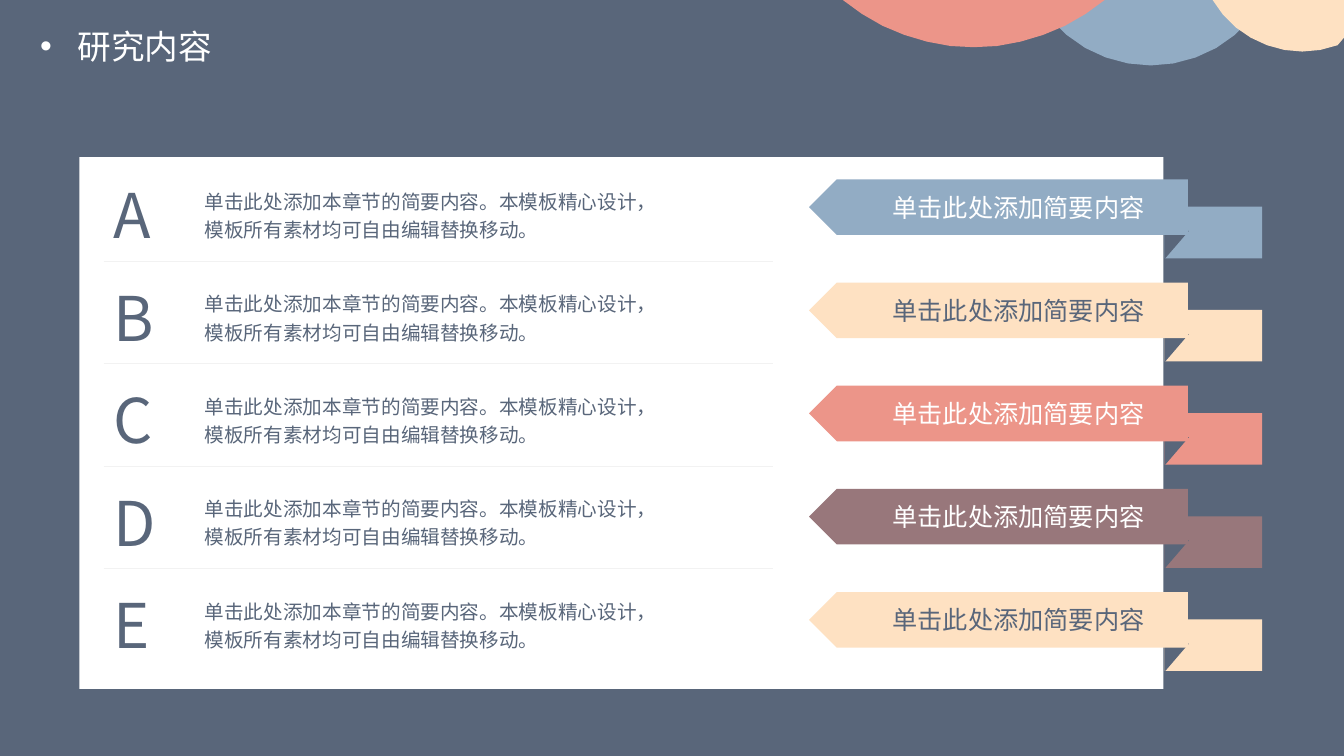
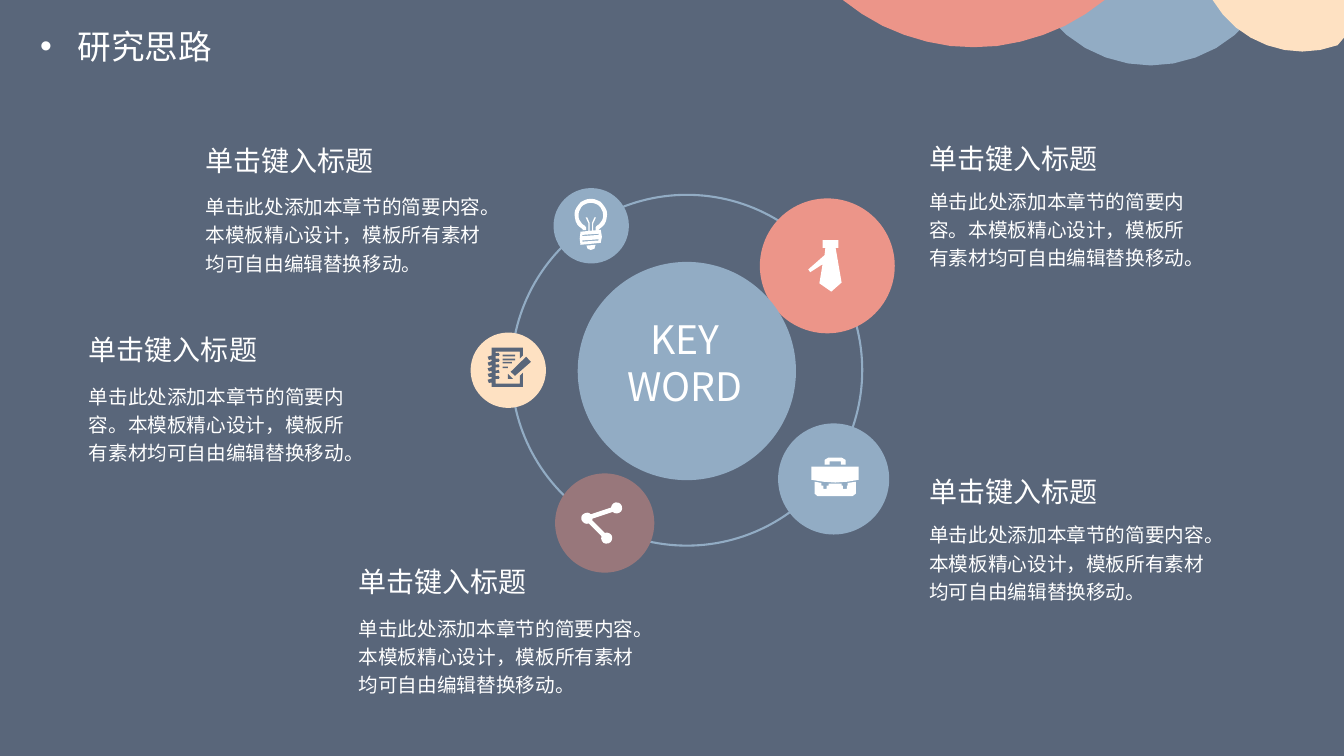
from math import asin, cos, degrees, radians, sin

from lxml import etree
from pptx import Presentation
from pptx.dml.color import RGBColor
from pptx.enum.shapes import MSO_CONNECTOR, MSO_SHAPE as Preset
from pptx.enum.text import MSO_ANCHOR as Anchor, PP_ALIGN as Align
from pptx.oxml.ns import qn
from pptx.util import Cm, Pt

FONT = "Noto Sans CJK SC"
SLATE = RGBColor(0x59, 0x66, 0x7A)
BLUE = RGBColor(0x92, 0xAC, 0xC4)
SALMON = RGBColor(0xEC, 0x95, 0x89)
CREAM = RGBColor(0xFE, 0xE1, 0xC2)
MAUVE = RGBColor(0x98, 0x77, 0x7B)
WHITE = RGBColor(0xFF, 0xFF, 0xFF)
PALE_GREY = RGBColor(0xF2, 0xF2, 0xF2)

SLIDE_WIDTH, SLIDE_HEIGHT = 33.87, 19.05
UNIT = Cm(0.01)  # freeform points are hundredths of a centimetre

BODY_TEXT = "单击此处添加本章节的简要内容。本模板精心设计，模板所有素材均可自由编辑替换移动。"
ROW_LABEL = "单击此处添加简要内容"
TOPIC_TITLE = "单击键入标题"

# letter, ribbon colour, label colour
ROWS = [
    ("A", BLUE, WHITE),
    ("B", CREAM, SLATE),
    ("C", SALMON, WHITE),
    ("D", MAUVE, WHITE),
    ("E", CREAM, SLATE),
]
# left, top, width and gap from title to text
TOPICS = [
    (4.93, 3.48, 7.67, 1.19),
    (1.99, 8.26, 7.17, 1.19),
    (8.79, 14.1, 7.67, 1.19),
    (23.17, 3.43, 7.17, 1.1),
    (23.17, 11.84, 7.67, 1.1),
]
# centre, diameter, colour
DISCS = [
    (12.81, 9.33, 1.9, CREAM),
    (14.9, 5.69, 1.9, BLUE),
    (15.24, 13.18, 2.5, MAUVE),
    (21.01, 12.07, 2.8, BLUE),
    (20.85, 6.7, 3.4, SALMON),
]

TIE = [[(36, 0), (76, 0), (76, 20), (69, 20), (84, 107), (58, 130), (28, 109),
        (36, 61), (5, 81), (0, 74), (41, 38), (43, 20), (36, 20)]]
BRIEFCASE = [
    [(33, 18), (33, 6), (43, 0), (76, 0), (86, 6), (86, 18), (74, 18),
     (74, 10), (46, 10), (46, 18)],
    [(0, 23), (0, 56), (30, 61), (60, 63), (90, 61), (119, 56), (119, 23)],
    [(8, 61), (8, 91), (15, 97), (104, 97), (112, 91), (112, 61), (91, 64),
     (91, 71), (89, 71), (89, 79), (79, 79), (79, 71), (76, 71), (76, 66),
     (43, 66), (43, 71), (38, 71), (38, 79), (30, 79), (30, 71), (25, 71),
     (25, 64)],
]
# The frame's left edge runs around five binder rings.
BINDER_RING = [(20, 8), (28, 8), (30, 5), (28, 0), (20, 1)]
RING_END = [(10, 7), (0, 10), (3, 18), (10, 17)]
FRAME_OUTSIDE = [(10, 0), (89, 0), (89, 20), (81, 28), (81, 10), (20, 10)]
FRAME_BOTTOM = [(20, 91), (81, 91), (81, 71), (89, 63), (89, 99), (10, 99)]
PENCIL = [[(97, 23), (58, 61), (69, 71), (109, 36)],
          [(51, 66), (51, 79), (64, 79)]]
FILAMENT = [(28, 48), (32, 48), (38, 62), (38, 81), (35, 81), (35, 63)]
BULB_BASE = [(15, 84), (66, 79), (69, 97), (66, 112), (15, 117), (13, 102)]
BULB_SLOT = [(20, 92), (61, 89), (61, 92), (20, 95)]
BULB_FOOT = [(30, 119), (53, 117), (50, 127), (41, 130), (33, 127)]


def arc(centre_x, centre_y, radius, start, end, steps=12):
    """Points of a circular arc; degrees run clockwise from the right."""
    angles = [radians(start + (end - start) * i / steps) for i in range(steps + 1)]
    return [(centre_x + radius * cos(a), centre_y + radius * sin(a)) for a in angles]


def shift_down(points, distance):
    return [(x, y + distance) for x, y in points]


def paint(shape, color):
    shape.shadow.inherit = False
    shape.fill.solid()
    shape.fill.fore_color.rgb = color
    shape.line.fill.background()
    return shape


def add_block(page, preset, left, top, width, height, color, flip=None):
    shape = page.shapes.add_shape(preset, Cm(left), Cm(top), Cm(width), Cm(height))
    if flip:
        shape.element.spPr.find(qn("a:xfrm")).set(flip, "1")
    return paint(shape, color)


def add_disc(page, centre_x, centre_y, diameter, color):
    radius = diameter / 2
    return add_block(page, Preset.OVAL, centre_x - radius, centre_y - radius,
                     diameter, diameter, color)


def add_outline(page, left, top, contours, color):
    """One filled freeform; a contour inside another makes a hole."""
    builder = page.shapes.build_freeform(*contours[0][0], scale=float(UNIT))
    builder.add_line_segments(contours[0][1:])
    for contour in contours[1:]:
        builder.move_to(*contour[0])
        builder.add_line_segments(contour[1:])
    return paint(builder.convert_to_shape(Cm(left), Cm(top)), color)


def add_line(page, start, end, color, weight):
    line = page.shapes.add_connector(
        MSO_CONNECTOR.STRAIGHT, *(Cm(value) for value in (*start, *end)))
    line.line.color.rgb = color
    line.line.width = Pt(weight)
    etree.SubElement(line.element.spPr, qn("a:effectLst"))


def add_text(page, left, top, width, height, text, size, color=WHITE,
             align=Align.LEFT, anchor=Anchor.TOP):
    box = page.shapes.add_textbox(Cm(left), Cm(top), Cm(width), Cm(height))
    frame = box.text_frame
    frame.word_wrap = True
    frame.vertical_anchor = anchor
    frame.text = text
    for para in frame.paragraphs:
        para.alignment = align
        para.font.size = Pt(size)
        para.font.color.rgb = color
        para.font.name = FONT
        defaults = para._p.pPr.find(qn("a:defRPr"))
        etree.SubElement(defaults, qn("a:ea")).set("typeface", FONT)
    return frame


def add_body(page, left, top, width, height, color):
    frame = add_text(page, left, top, width, height, BODY_TEXT, 14, color)
    frame.paragraphs[0].line_spacing = Pt(20.2)


def add_title(page, text):
    frame = add_text(page, 1.01, 0.53, 5.7, 1.28, text, 24)
    frame.margin_left = 0
    props = frame.paragraphs[0]._p.pPr
    props.set("marL", str(Cm(0.95)))
    props.set("indent", str(-Cm(0.95)))
    defaults = props.find(qn("a:defRPr"))
    for tag, name, value in (("a:buFont", "typeface", "Arial"),
                             ("a:buChar", "char", "•")):
        bullet = etree.Element(qn(tag))
        bullet.set(name, value)
        defaults.addprevious(bullet)


def add_cap(page, centre_x, radius, depth, color):
    """The part of a circle that hangs below the top edge of the slide."""
    start = degrees(asin((radius - depth) / radius))
    points = arc(centre_x, depth - radius, radius, start, 180 - start)
    inside = [(min(x, SLIDE_WIDTH) * 100, y * 100) for x, y in points]
    corner = (inside[0][0], 0)
    return add_outline(page, 0, 0, [[corner] + inside], color)


def set_up_layout(layout, page):
    """Give the layout its background and caps, which are drawn on page first."""
    layout.background.fill.solid()
    layout.background.fill.fore_color.rgb = SLATE
    for placeholder in list(layout.placeholders):
        layout.shapes.element.remove(placeholder.element)
    for cap in ((29, 3.3, 1.65, BLUE), (24.54, 5.16, 1.19, SALMON),
                (32.82, 2.62, 1.3, CREAM)):
        layout.shapes.element.append(add_cap(page, *cap).element)


def add_bulb(page, left, top):
    glass = (arc(41, 42, 41, 120, 420, 24) + [(61, 80), (53, 80), (53, 73)]
             + arc(41, 42, 31, 420, 120, 24) + [(29, 73), (29, 80), (20, 80)])
    mirrored = [(82 - x, y) for x, y in FILAMENT]
    add_outline(page, left, top,
                [glass, FILAMENT, mirrored, BULB_BASE, BULB_SLOT,
                 shift_down(BULB_SLOT, 14), BULB_FOOT], WHITE)


def add_notebook(page, left, top):
    writing = [[(38, y), (38 + width, y), (38 + width, y + 4), (38, y + 4)]
               for y, width in ((18, 31), (28, 31), (36, 23), (48, 13))]
    offsets = [13 + 14.5 * i for i in range(5)]
    inner = [point for offset in offsets
             for point in shift_down(BINDER_RING[::-1], offset)]
    outer = [point for offset in reversed(offsets)
             for point in shift_down(RING_END[::-1], offset)]
    frame = FRAME_OUTSIDE + inner + FRAME_BOTTOM + outer
    add_outline(page, left, top, [frame] + writing + PENCIL, SLATE)


def add_share_sign(page, left, top):
    """A hub joined to two nodes, drawn as one outline of arcs."""
    hub, upper, lower = (13, 39), (88, 13), (63, 89)
    arcs = ((upper, 186, 496), (hub, 6, 20), (lower, 250, 560), (hub, 70, 316))
    outline = [point for centre, start, end in arcs
               for point in arc(*centre, 14, start, end)]
    add_outline(page, left, top, [outline], WHITE)


def build_contents(page):
    add_title(page, "研究内容")
    ribbon_step, text_step = 2.6, 2.58
    for i, (_, color, _) in enumerate(ROWS):
        top = 5.21 + i * ribbon_step
        add_block(page, Preset.RECTANGLE, 29.35, top, 2.46, 1.3, color)
        add_block(page, Preset.RIGHT_TRIANGLE, 29.35, top + 0.61, 0.61, 0.71,
                  SLATE, "flipV")
    add_block(page, Preset.RECTANGLE, 2, 3.96, 27.32, 13.4, WHITE)
    for i, (letter, color, label_color) in enumerate(ROWS):
        top = 4.52 + i * ribbon_step
        add_block(page, Preset.PENTAGON, 20.39, top, 9.55, 1.4, color, "flipH")
        add_text(page, 21.4, top, 8.54, 1.4, ROW_LABEL, 18, label_color,
                 Align.CENTER, Anchor.MIDDLE)
        offset = i * text_step
        add_text(page, 2.6, 4.15 + offset, 2, 2.5, letter, 44, SLATE,
                 anchor=Anchor.MIDDLE)
        add_body(page, 4.91, 4.54 + offset, 12.1, 1.69, SLATE)
        if i:
            y = 4 + offset
            add_line(page, (2.62, y), (19.48, y), PALE_GREY, 0.5)


def build_approach(page):
    add_title(page, "研究思路")
    ring = add_disc(page, 17.31, 9.33, 8.84, BLUE)
    ring.fill.background()
    ring.line.color.rgb = BLUE
    ring.line.width = Pt(1.5)
    for disc in DISCS:
        add_disc(page, *disc)
    for left, top, width, gap in TOPICS:
        add_text(page, left, top, 5.6, 1.12, TOPIC_TITLE, 20)
        add_body(page, left, top + gap, width, 2.4, WHITE)
    add_outline(page, 20.45, 11.53, BRIEFCASE, WHITE)
    add_outline(page, 20.37, 6.05, TIE, WHITE)
    add_disc(page, 17.31, 9.35, 5.5, BLUE)
    add_text(page, 14.51, 7.64, 5.5, 3, "KEY\nWORD", 28,
             align=Align.CENTER, anchor=Anchor.MIDDLE)
    add_notebook(page, 12.29, 8.76)
    add_bulb(page, 14.48, 5)
    add_share_sign(page, 14.66, 12.67)


def main():
    deck = Presentation()
    deck.slide_width, deck.slide_height = Cm(SLIDE_WIDTH), Cm(SLIDE_HEIGHT)
    blank = deck.slide_layouts[6]
    contents, approach = (deck.slides.add_slide(blank) for _ in range(2))
    set_up_layout(blank, contents)
    build_contents(contents)
    build_approach(approach)
    deck.save("out.pptx")


if __name__ == "__main__":
    main()
